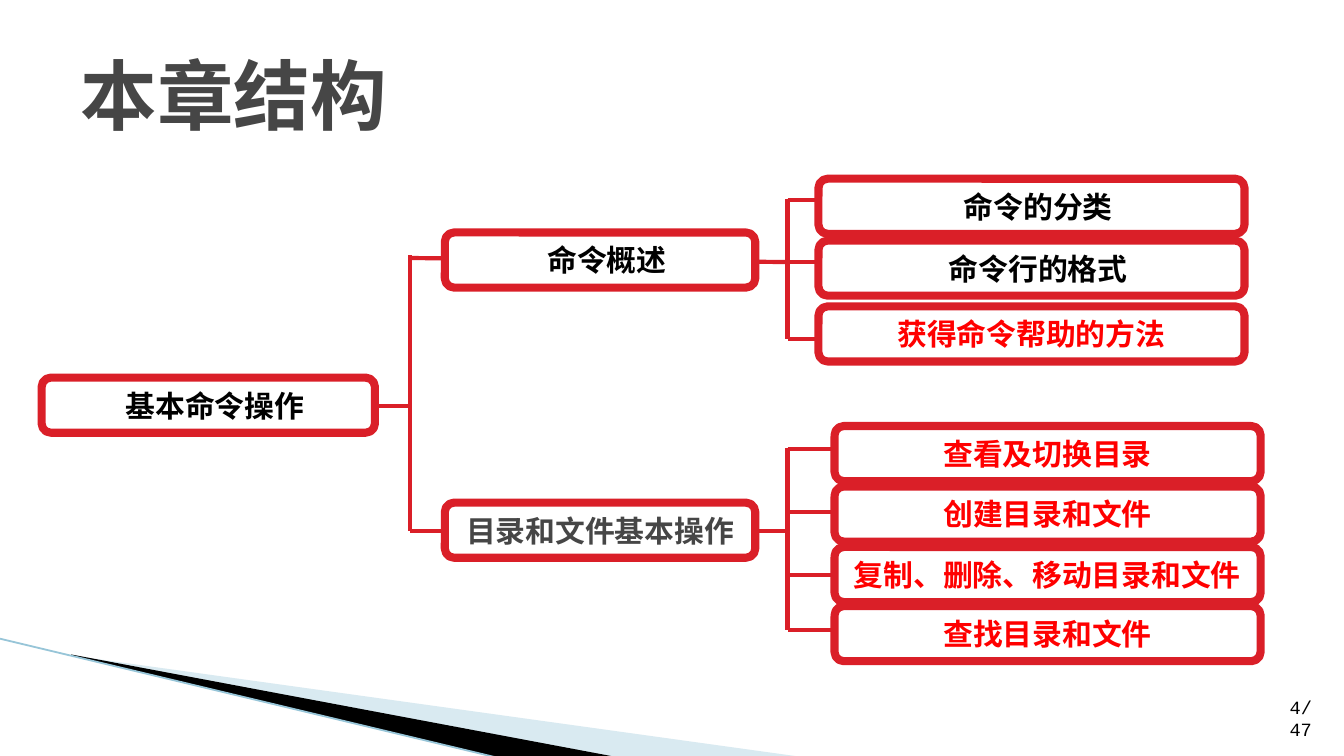
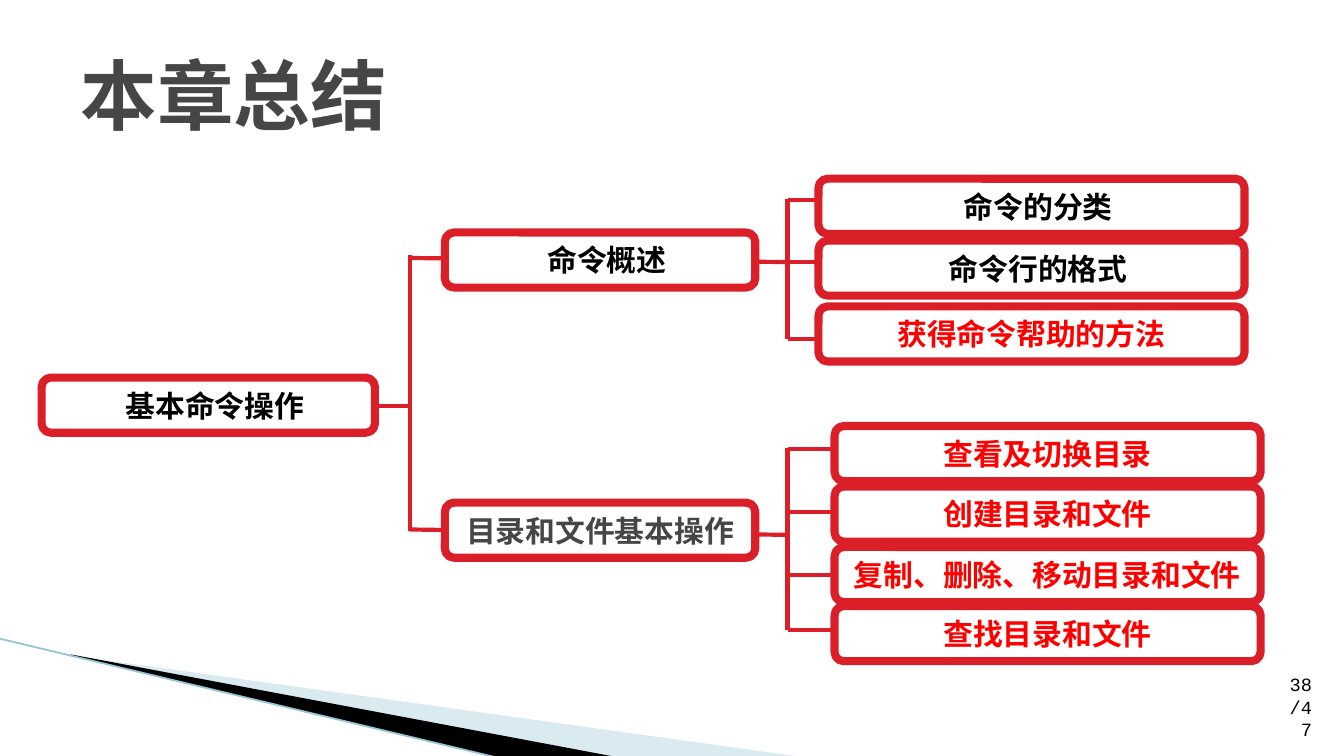
import lxml.etree
import pptx
import pptx.dml.color
import pptx.enum.shapes
import pptx.enum.text
import pptx.oxml.ns
import pptx.util

Inches = pptx.util.Inches
ALIGN = pptx.enum.text.PP_ALIGN
ANCHOR = pptx.enum.text.MSO_ANCHOR

FONT = "Courier New"
RED, HOT, BLACK, GREY, WHITE = "DA1F28", "FF0000", "000000", "464646", "FFFFFF"
PALE_BLUE, EDGE_BLUE = "A0CBDC", "97C5D8"

TITLE_BOX = (0.5, 0.23, 9, 0.94)
PAGE_BOX = (9.46, 5.26, 0.4, 0.3)
TREE_BOX = (0.31, 1.33, 9.07, 3.59)
NODE_HEIGHT, LEAF_WIDTH, TOPIC_WIDTH, ROOT_WIDTH = 0.41, 3.17, 2.31, 2.48
INDENT = 0.1  # extra left inset of the black labels

# Offsets are inches from the top of the branch; a leaf is text, colour, top, twig.
OVERVIEW = {
    "topic": ("命令概述", BLACK, 0.4),
    "leaves": [
        ("命令的分类", BLACK, 0, 0.16),
        ("命令行的格式", BLACK, 0.46, 0.62),
        ("获得命令帮助的方法", HOT, 0.95, 1.19),
    ],
}
FILE_WORK = {
    "topic": ("目录和文件基本操作", GREY, 0.57),
    "leaves": [
        ("查看及切换目录", HOT, 0, 0.17),
        ("创建目录和文件", HOT, 0.45, 0.64),
        ("复制、删除、移动目录和文件", HOT, 0.9, 1.11),
        ("查找目录和文件", HOT, 1.34, 1.52),
    ],
}
# Title, page, and the two ends of the lower branch's stem.
PAGES = [
    ("本章结构", "4/47", (0.78, 0.78)),
    ("本章总结", "38/47", (0.77, 0.81)),
]


def rgb(value):
    return pptx.dml.color.RGBColor.from_string(value)


def apply(target, values):
    for name, value in values.items():
        setattr(target, name, value)


def write(shape, text, size, color, align, anchor, bold=False, indent=0):
    frame = shape.text_frame
    apply(frame, {"word_wrap": True, "vertical_anchor": anchor,
                  "margin_left": Inches(0.1 + indent)})
    paragraph = frame.paragraphs[0]
    paragraph.alignment = align
    run = paragraph.add_run()
    run.text = text
    apply(run.font, {"name": FONT, "size": pptx.util.Pt(size), "bold": bold})
    run.font.color.rgb = rgb(color)


def segment(slide, start, end, color=RED, width=2.25):
    """Draw a straight line without a shadow."""
    ends = [Inches(value) for value in (*start, *end)]
    line = slide.shapes.add_connector(pptx.enum.shapes.MSO_CONNECTOR.STRAIGHT, *ends)
    line.line.color.rgb = rgb(color)
    line.line.width = pptx.util.Pt(width)
    lxml.etree.SubElement(line.element.spPr, pptx.oxml.ns.qn("a:effectLst"))
    return line


def node(slide, box, text, color):
    shape = slide.shapes.add_shape(
        pptx.enum.shapes.MSO_SHAPE.ROUNDED_RECTANGLE, *map(Inches, box))
    shape.shadow.inherit = False
    shape.fill.solid()
    shape.fill.fore_color.rgb = rgb(WHITE)
    shape.line.color.rgb = rgb(RED)
    shape.line.width = pptx.util.Pt(4.33)
    write(shape, text, 16, color, ALIGN.CENTER, ANCHOR.MIDDLE, True,
          INDENT if color == BLACK else 0)


def wedge(slide, corners, color, opacity=100):
    points = [(Inches(x), Inches(y)) for x, y in corners]
    builder = slide.shapes.build_freeform(*points[0])
    builder.add_line_segments(points[1:], close=True)
    shape = builder.convert_to_shape()
    shape.shadow.inherit = False
    shape.fill.solid()
    shape.fill.fore_color.rgb = rgb(color)
    shape.line.fill.background()
    if opacity < 100:
        tint = shape.element.spPr.find(".//" + pptx.oxml.ns.qn("a:srgbClr"))
        lxml.etree.SubElement(
            tint, pptx.oxml.ns.qn("a:alpha"), val=str(opacity * 1000))
    return shape


def corner_band(slide, layout):
    """Draw the corner band and move it to the layout, behind every slide."""
    parts = [
        wedge(slide, [(0.55, 4.88), (5.95, 5.63), (4.56, 5.63)], PALE_BLUE, 40),
        wedge(slide, [(0.53, 4.87), (4.57, 5.63), (3.72, 5.64), (0.54, 4.88)], BLACK),
        segment(slide, (-0.01, 4.75), (3.71, 5.64), EDGE_BLUE, 0.95),
    ]
    for part in parts:
        layout.shapes.element.append(part.element)


def heading(slide, box, text):
    title = slide.shapes.title
    apply(title, dict(zip(("left", "top", "width", "height"), map(Inches, box))))
    write(title, text, 41, GREY, ALIGN.LEFT, ANCHOR.MIDDLE, True)


def page_mark(slide, box, text):
    mark = slide.shapes.add_textbox(*map(Inches, box))
    write(mark, text, 10, BLACK, ALIGN.RIGHT, ANCHOR.BOTTOM)


def branch(slide, box, content, stem):
    """Draw a topic and its leaves; the stem starts at the left of the box."""
    left, top, width, _ = box
    spine = left + 2.81
    leaf_left = left + width - LEAF_WIDTH
    leaves = content["leaves"]
    segment(slide, (left, top + stem[0]), (spine, top + stem[1]))
    segment(slide, (spine, top + leaves[0][3] - 0.01), (spine, top + leaves[-1][3]))
    for text, color, offset, twig in leaves:
        segment(slide, (spine, top + twig), (leaf_left + 0.1, top + twig))
        node(slide, (leaf_left, top + offset, LEAF_WIDTH, NODE_HEIGHT), text, color)
    text, color, offset = content["topic"]
    node(slide, (left + 0.26, top + offset, TOPIC_WIDTH, NODE_HEIGHT), text, color)


def chapter_tree(slide, box, lower_stem):
    left, top, width, height = box
    trunk = left + 2.74
    root_top = top + 1.48
    lower_top = top + 1.84
    segment(slide, (left + 2.27, root_top + 0.21), (trunk, root_top + 0.21))
    segment(slide, (trunk, top + 0.57), (trunk, lower_top + 0.78))
    node(slide, (left, root_top, ROOT_WIDTH, NODE_HEIGHT), "基本命令操作", BLACK)
    branch(slide, (trunk, top, width - 2.86, 1.36), OVERVIEW, (0.59, 0.62))
    branch(slide, (trunk, lower_top, width - 2.74, height - 1.84),
           FILE_WORK, lower_stem)


def main():
    deck = pptx.Presentation()
    apply(deck, {"slide_width": Inches(10), "slide_height": Inches(5.625)})
    layout = deck.slide_layouts.get_by_name("Title Only")
    for index, (title, page, lower_stem) in enumerate(PAGES):
        slide = deck.slides.add_slide(layout)
        if index == 0:
            corner_band(slide, layout)
        page_mark(slide, PAGE_BOX, page)
        heading(slide, TITLE_BOX, title)
        chapter_tree(slide, TREE_BOX, lower_stem)
    deck.save("out.pptx")


if __name__ == "__main__":
    main()
